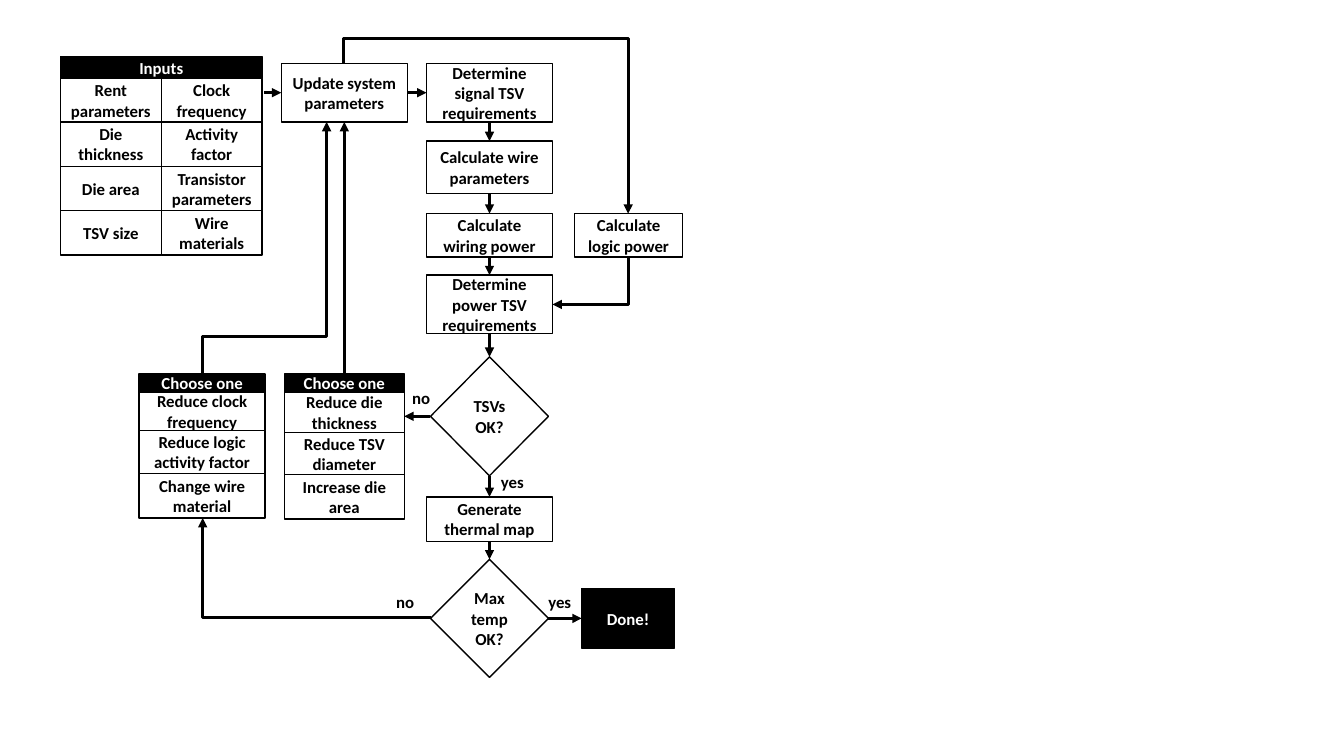
from dataclasses import dataclass

from lxml.etree import SubElement
from pptx import Presentation
from pptx.dml.color import RGBColor
from pptx.enum.shapes import MSO_CONNECTOR, MSO_SHAPE
from pptx.enum.text import MSO_ANCHOR, MSO_AUTO_SIZE, PP_ALIGN
from pptx.oxml.ns import qn
from pptx.shapes.autoshape import Shape
from pptx.shapes.connector import Connector
from pptx.slide import Slide
from pptx.util import Emu, Pt

EMU_PER_PX = 9144  # 100 px to the inch
TOP, LEFT, BOTTOM, RIGHT = range(4)


@dataclass(frozen=True)
class Theme:
    ink: RGBColor = RGBColor(0, 0, 0)
    paper: RGBColor = RGBColor(255, 255, 255)
    font: str = "Calibri"
    text_size: Pt = Pt(12)
    outline: Pt = Pt(1)
    flow: Pt = Pt(2.25)


@dataclass(frozen=True)
class Box:
    text: str
    left: int
    top: int
    width: int
    height: int
    shape: MSO_SHAPE = MSO_SHAPE.RECTANGLE
    solid: bool = False


@dataclass(frozen=True)
class Panel:
    """A solid header above a grid of cells, listed row by row."""
    title: str
    left: int
    top: int
    width: int
    header_height: int
    columns: int
    row_heights: tuple[int, ...]
    cells: tuple[str, ...]


@dataclass(frozen=True)
class Joint:
    box: str
    side: int


@dataclass(frozen=True)
class Point:
    x: int
    y: int


@dataclass(frozen=True)
class Arrow:
    start: Joint | Point
    end: Joint | Point


@dataclass(frozen=True)
class Elbow:
    start: Point
    end: Point
    preset: str
    rotation: int
    flip_h: bool = False
    flip_v: bool = False
    bend: int | None = None  # thousandths of a percent of the length


@dataclass(frozen=True)
class Label:
    text: str
    left: int
    top: int
    width: int


THEME = Theme()
BOXES = {
    "update": Box("Update system parameters", 279, 63, 125, 58),
    "signal": Box("Determine signal TSV requirements", 423, 63, 125, 58),
    "wire": Box("Calculate wire parameters", 423, 140, 125, 52),
    "wiring": Box("Calculate wiring power", 423, 212, 125, 43),
    "power": Box("Determine power TSV requirements", 423, 273, 125, 58),
    "tsv check": Box("TSVs OK?", 427, 354, 117, 118, MSO_SHAPE.DIAMOND),
    "thermal": Box("Generate thermal map", 423, 493, 125, 44),
    "heat check": Box("Max temp OK?", 427, 555, 117, 117, MSO_SHAPE.DIAMOND),
    "logic": Box("Calculate logic power", 570, 212, 107, 43),
    "done": Box("Done!", 577, 584, 92, 59, solid=True),
}
PANELS = {
    "inputs": Panel("Inputs", 60, 56, 200, 22, 2, (43, 44, 44, 44),
                    ("Rent parameters", "Clock frequency", "Die thickness", "Activity factor",
                     "Die area", "Transistor parameters", "TSV size", "Wire materials")),
    "heat fixes": Panel("Choose one", 138, 371, 125, 18, 1, (38, 43, 44),
                        ("Reduce clock frequency", "Reduce logic activity factor",
                         "Change wire material")),
    "tsv fixes": Panel("Choose one", 282, 371, 119, 18, 1, (40, 42, 44),
                       ("Reduce die thickness", "Reduce TSV diameter", "Increase die area")),
}
MAIN_FLOW = ("signal", "wire", "wiring", "power", "tsv check", "thermal", "heat check")
ARROWS = [Arrow(Joint(a, BOTTOM), Joint(b, TOP)) for a, b in zip(MAIN_FLOW, MAIN_FLOW[1:])] + [
    Arrow(Point(262, 92), Joint("update", LEFT)),
    Arrow(Joint("update", RIGHT), Joint("signal", LEFT)),
    Arrow(Joint("tsv check", LEFT), Point(401, 413)),
    Arrow(Joint("tsv fixes", TOP), Joint("update", BOTTOM)),
    Arrow(Joint("heat check", RIGHT), Joint("done", LEFT)),
]
ELBOWS = (
    Elbow(Point(623, 255), Point(548, 302), "bentConnector2", 90),
    Elbow(Point(201, 371), Point(324, 121), "bentConnector3", 90, True, True, 14800),
    Elbow(Point(427, 613), Point(201, 514), "bentConnector2", 180),
    Elbow(Point(341, 63), Point(623, 212), "bentConnector3", 270, True, False, -16800),
)
LABELS = (
    Label("yes", 487, 463, 43),
    Label("yes", 534, 582, 43),
    Label("no", 399, 380, 38),
    Label("no", 383, 582, 38),
)


def px(value: float) -> Emu:
    return Emu(round(value * EMU_PER_PX))


def write(shape: Shape, text: str, color: RGBColor, align: PP_ALIGN) -> None:
    para = shape.text_frame.paragraphs[0]
    para.alignment = align
    span = para.add_run()
    span.text = text
    span.font.name = THEME.font
    span.font.size = THEME.text_size
    span.font.bold = True
    span.font.color.rgb = color


def draw_box(page: Slide, box: Box) -> Shape:
    shape = page.shapes.add_shape(box.shape, px(box.left), px(box.top),
                                  px(box.width), px(box.height))
    shape.shadow.inherit = False
    if box.solid:
        shape.fill.solid()
        shape.fill.fore_color.rgb = THEME.ink
    else:
        shape.fill.background()
    shape.line.color.rgb = THEME.ink
    shape.line.width = THEME.outline
    shape.text_frame.word_wrap = True
    shape.text_frame.vertical_anchor = MSO_ANCHOR.MIDDLE
    write(shape, box.text, THEME.paper if box.solid else THEME.ink, PP_ALIGN.CENTER)
    return shape


def draw_panel(page: Slide, panel: Panel) -> Shape:
    """Draw the cells and return the header."""
    cell_width = panel.width // panel.columns
    top = panel.top + panel.header_height
    for row, height in enumerate(panel.row_heights):
        for column in range(panel.columns):
            draw_box(page, Box(panel.cells[row * panel.columns + column],
                               panel.left + column * cell_width, top, cell_width, height))
        top += height
    return draw_box(page, Box(panel.title, panel.left, panel.top, panel.width,
                              panel.header_height, solid=True))


def style_arrow(line: Connector) -> None:
    line.line.color.rgb = THEME.ink
    line.line.width = THEME.flow
    properties = line.element.spPr
    SubElement(properties.find(qn("a:ln")), qn("a:tailEnd"), type="triangle")
    SubElement(properties, qn("a:effectLst"))


def draw_arrow(page: Slide, arrow: Arrow, drawn: dict[str, Shape]) -> None:
    line = page.shapes.add_connector(MSO_CONNECTOR.STRAIGHT, 0, 0, 0, 0)
    if isinstance(arrow.start, Joint):
        line.begin_connect(drawn[arrow.start.box], arrow.start.side)
    else:
        line.begin_x, line.begin_y = px(arrow.start.x), px(arrow.start.y)
    if isinstance(arrow.end, Joint):
        line.end_connect(drawn[arrow.end.box], arrow.end.side)
    else:
        line.end_x, line.end_y = px(arrow.end.x), px(arrow.end.y)
    style_arrow(line)


def draw_elbow(page: Slide, elbow: Elbow) -> None:
    """Frame the connector around its ends, as it lies before rotation."""
    start, end = elbow.start, elbow.end
    width, height = abs(end.x - start.x), abs(end.y - start.y)
    if elbow.rotation % 180:
        width, height = height, width
    left, top = (start.x + end.x - width) / 2, (start.y + end.y - height) / 2
    line = page.shapes.add_connector(MSO_CONNECTOR.ELBOW, px(left), px(top),
                                     px(left + width), px(top + height))
    frame = line.element.spPr.find(qn("a:xfrm"))
    frame.set("rot", str(elbow.rotation * 60000))
    frame.set("flipH", str(int(elbow.flip_h)))
    frame.set("flipV", str(int(elbow.flip_v)))
    geometry = line.element.spPr.find(qn("a:prstGeom"))
    geometry.set("prst", elbow.preset)
    if elbow.bend is not None:
        SubElement(geometry.find(qn("a:avLst")), qn("a:gd"), name="adj1", fmla=f"val {elbow.bend}")
    style_arrow(line)


def draw_label(page: Slide, label: Label) -> None:
    shape = page.shapes.add_textbox(px(label.left), px(label.top), px(label.width), px(30))
    shape.text_frame.word_wrap = False
    shape.text_frame.auto_size = MSO_AUTO_SIZE.SHAPE_TO_FIT_TEXT
    write(shape, label.text, THEME.ink, PP_ALIGN.LEFT)


def main() -> None:
    deck = Presentation()
    deck.slide_width, deck.slide_height = px(1333), px(750)
    page = deck.slides.add_slide(deck.slide_layouts[6])
    drawn = {name: draw_box(page, box) for name, box in BOXES.items()}
    drawn |= {name: draw_panel(page, panel) for name, panel in PANELS.items()}
    for arrow in ARROWS:
        draw_arrow(page, arrow, drawn)
    for elbow in ELBOWS:
        draw_elbow(page, elbow)
    for label in LABELS:
        draw_label(page, label)
    deck.save("out.pptx")


if __name__ == "__main__":
    main()
